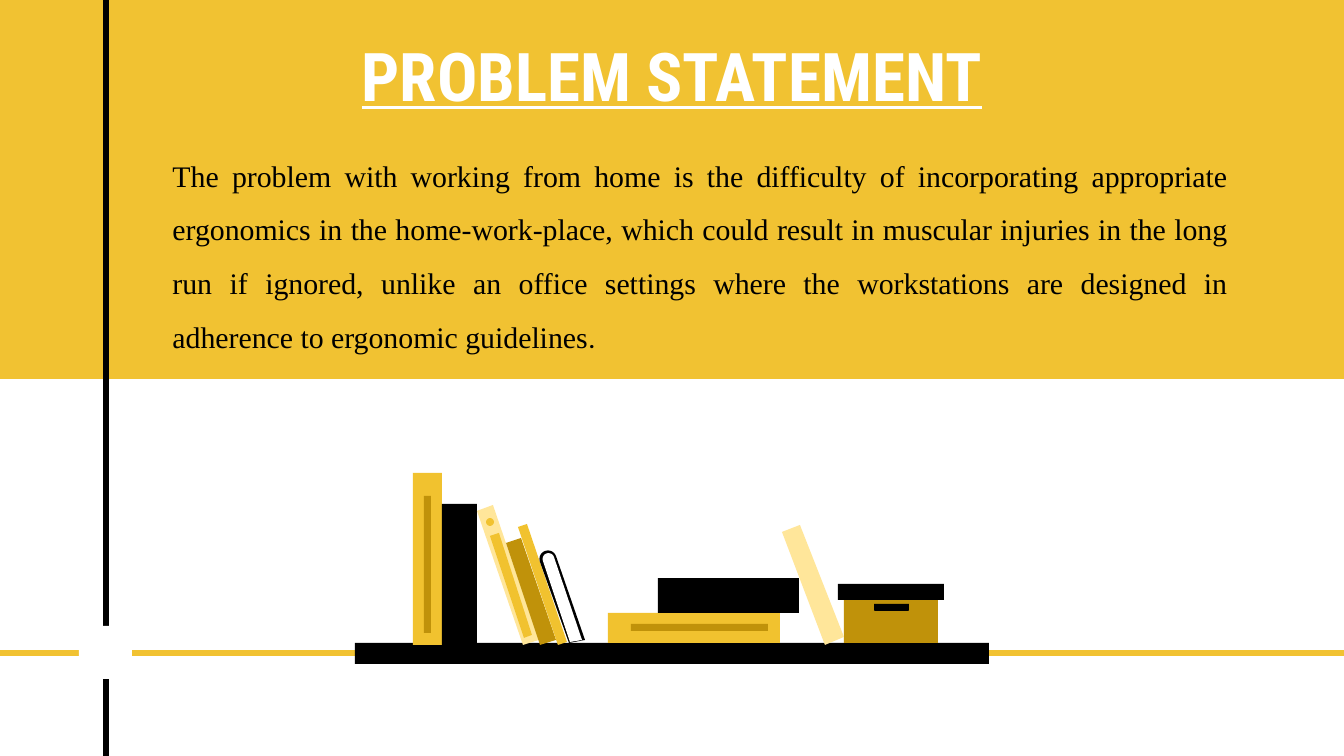
import math

import pptx
import pptx.util
import pptx.dml.color
import pptx.enum.shapes
import pptx.enum.text
import pptx.oxml

SCALE = 914400 / 134.4  # EMU in one px
WIDTH, HEIGHT = 1344, 756

BLACK, WHITE, YELLOW = "000000", "FFFFFF", "F1C232"
GOLD, PALE, BROWN = "F1C22F", "FFE69A", "C0920A"

# Content
TITLE = "PROBLEM STATEMENT"
BODY = [
    ("The problem with working from home is the difficulty of incorporating "
     "appropriate ergonomics in the home-work-place, which could result in "
     "muscular injuries in the long run if ignored, unlike an office settings "
     "where the workstations are designed in adherence to ergonomic guidelines",
     "Times New Roman"),
    (".", "Roboto"),
]

# Axis lines: from, to, colour
AXES = [
    ((106, -3), (106, 759), BLACK),
    ((1371, 653), (-11, 653), YELLOW),
]

# Rectangles: left, top, width, height, colour
SHELF = (355, 643, 634, 21, BLACK)
UPRIGHT_BOOKS = [
    (413, 473, 29, 172, GOLD),
    (424, 496, 7, 137, BROWN),
    (442, 504, 35, 141, BLACK),
]
LYING_BOOKS = [
    (608, 613, 172, 30, GOLD),
    (631, 624, 137, 7, BROWN),
    (658, 578, 141, 35, BLACK),
]
STORAGE_BOX = [
    (844, 600, 94, 43, BROWN),
    (838, 584, 106, 16, BLACK),
]
HANDLE = (874, 604, 35, 7, BLACK)
SPINE_DOT = (486, 518, 8, 8, GOLD)

# Leaning books: corners, colour
LEANING_BOOKS = [
    ([(539, 640), (493, 505), (477, 511), (523, 645)], PALE),
    ([(490, 536), (499, 533), (532, 635), (524, 638)], GOLD),
    ([(506, 543), (521, 538), (556, 640), (540, 645)], BROWN),
    ([(518, 527), (527, 524), (567, 642), (558, 645)], GOLD),
    ([(782, 532), (800, 525), (844, 637), (825, 645)], PALE),
]
# Round-topped book: left top, right top, right bottom, left bottom, colour
ROUND_BOOK = [
    ((540, 562), (556, 556), (585, 640), (569, 643), BLACK),
    ((543, 561), (554, 557), (582, 640), (570, 642), WHITE),
]


def px(value):
    return pptx.util.Emu(round(value * SCALE))


def colour(value):
    return pptx.dml.color.RGBColor.from_string(value)


def paint(shape, fill):
    shape.shadow.inherit = False
    shape.fill.solid()
    shape.fill.fore_color.rgb = colour(fill)
    shape.line.fill.background()
    return shape


def add_block(page, left, top, width, height, fill, kind="RECTANGLE"):
    preset = getattr(pptx.enum.shapes.MSO_SHAPE, kind)
    return paint(page.shapes.add_shape(
        preset, px(left), px(top), px(width), px(height)), fill)


def add_outline(page, points, fill):
    corners = [(px(x), px(y)) for x, y in points]
    builder = page.shapes.build_freeform(*corners[0], scale=1.0)
    builder.add_line_segments(corners[1:], close=True)
    return paint(builder.convert_to_shape(), fill)


def add_axis(page, start, end, stroke):
    line = page.shapes.add_connector(
        pptx.enum.shapes.MSO_CONNECTOR.STRAIGHT,
        px(start[0]), px(start[1]), px(end[0]), px(end[1]))
    line.line.color.rgb = colour(stroke)
    line.line.width = pptx.util.Pt(3)
    line.element.spPr.append(
        pptx.oxml.parse_xml('<a:effectLst xmlns:a='
                            '"http://schemas.openxmlformats.org/drawingml/2006/main"/>'))


def cap(left, right, steps=16):
    """Points of the half circle from left over the top to right."""
    x, y = (left[0] + right[0]) / 2, (left[1] + right[1]) / 2
    radius = math.dist(left, right) / 2
    first = math.atan2(left[1] - y, left[0] - x)
    angles = [first + math.pi * step / steps for step in range(steps + 1)]
    return [(x + radius * math.cos(a), y + radius * math.sin(a)) for a in angles]


def write(page, box, frame, spans, size, fill, align, anchor, spacing, **style):
    page.shapes.element.append(box.element)  # bring in front of the artwork
    box.left, box.top, box.width, box.height = map(px, frame)
    text = box.text_frame
    text.word_wrap = True
    text.auto_size = pptx.enum.text.MSO_AUTO_SIZE.NONE
    text.vertical_anchor = anchor
    text.margin_left = text.margin_right = pptx.util.Inches(0.1)
    text.margin_top = text.margin_bottom = pptx.util.Inches(0.1)
    para = text.paragraphs[0]
    para.alignment, para.line_spacing = align, spacing
    para.space_before = pptx.util.Pt(0)
    for words, font in spans:
        span = para.add_run()
        span.text = words
        span.font.name, span.font.size = font, pptx.util.Pt(size)
        span.font.color.rgb = colour(fill)
        for name, value in style.items():
            setattr(span.font, name, value)


def main():
    deck = pptx.Presentation()
    deck.slide_width, deck.slide_height = px(WIDTH), px(HEIGHT)
    page = deck.slides.add_slide(deck.slide_layouts[0])

    # Background band and crossing axes with a gap
    add_block(page, 0, 0, WIDTH, 379, YELLOW)
    for axis in AXES:
        add_axis(page, *axis)
    add_block(page, 79, 626, 53, 53, WHITE)

    # Shelf with books and storage box
    for block in [SHELF, *STORAGE_BOX, *UPRIGHT_BOOKS, *LYING_BOOKS]:
        add_block(page, *block)
    add_block(page, *HANDLE, kind="ROUND_2_SAME_RECTANGLE").rotation = 180
    for corners, fill in LEANING_BOOKS:
        add_outline(page, corners, fill)
    add_block(page, *SPINE_DOT, kind="OVAL")
    for left, right, *bottom, fill in ROUND_BOOK:
        add_outline(page, cap(left, right) + bottom, fill)

    # Title and statement
    align, anchor = pptx.enum.text.PP_ALIGN, pptx.enum.text.MSO_ANCHOR
    write(page, page.shapes.title, (297, 16, 750, 112),
          [(TITLE, "Roboto Condensed")], 36, WHITE,
          align.CENTER, anchor.BOTTOM, 1.0, bold=True, underline=True)
    write(page, page.placeholders[1], (159, 126, 1083, 173),
          BODY, 16, BLACK, align.JUSTIFY, anchor.TOP, 1.5)

    deck.save("out.pptx")


if __name__ == "__main__":
    main()
